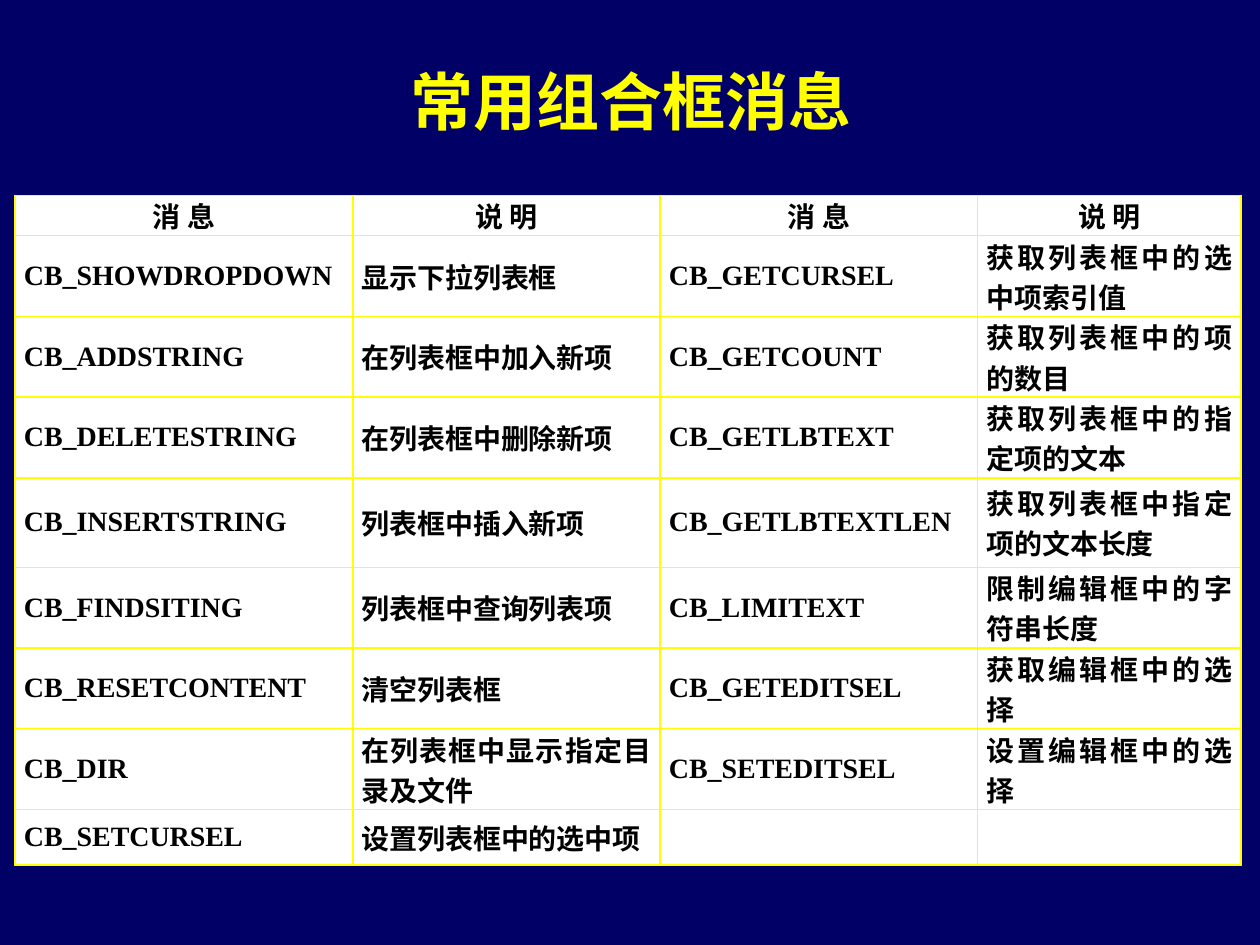
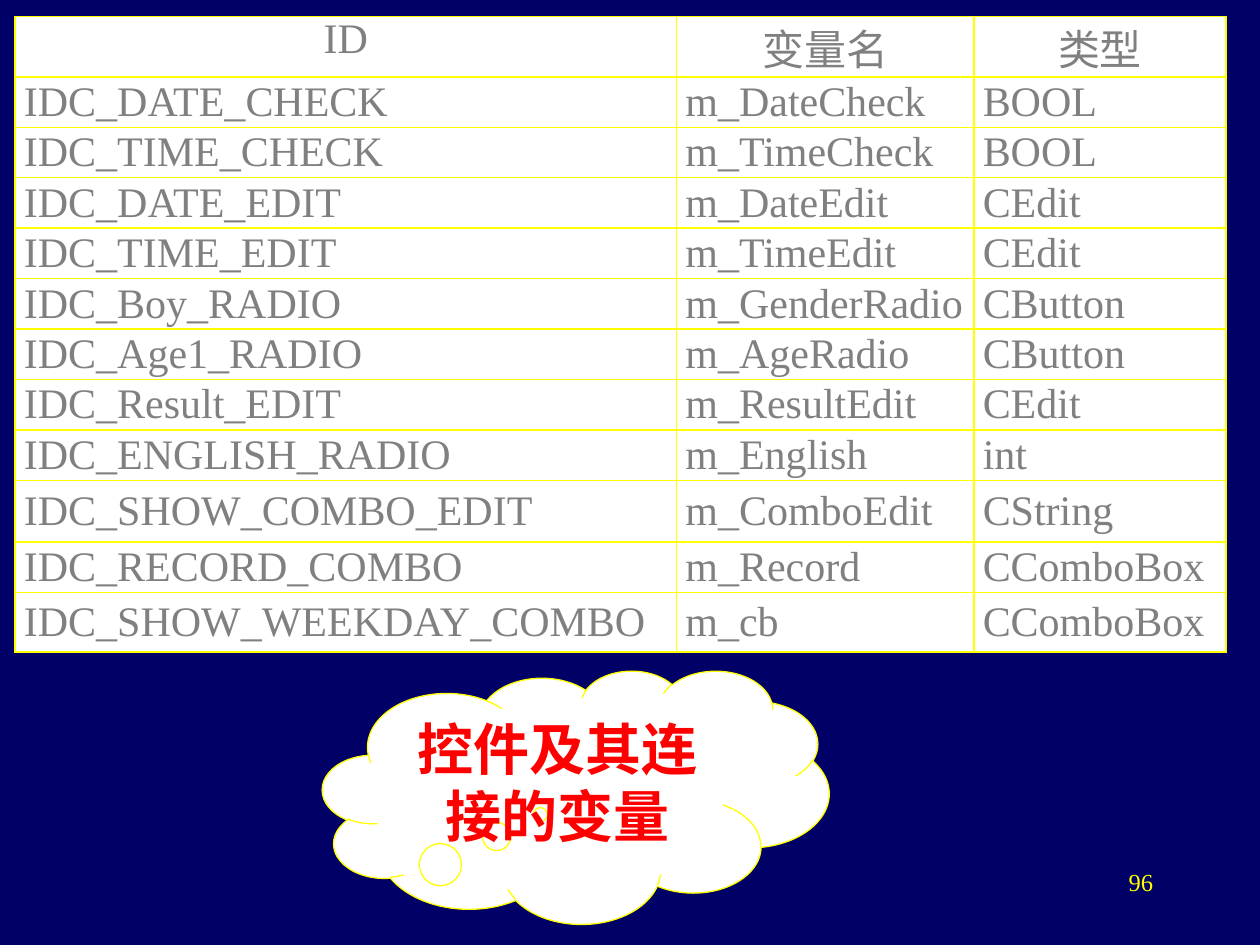
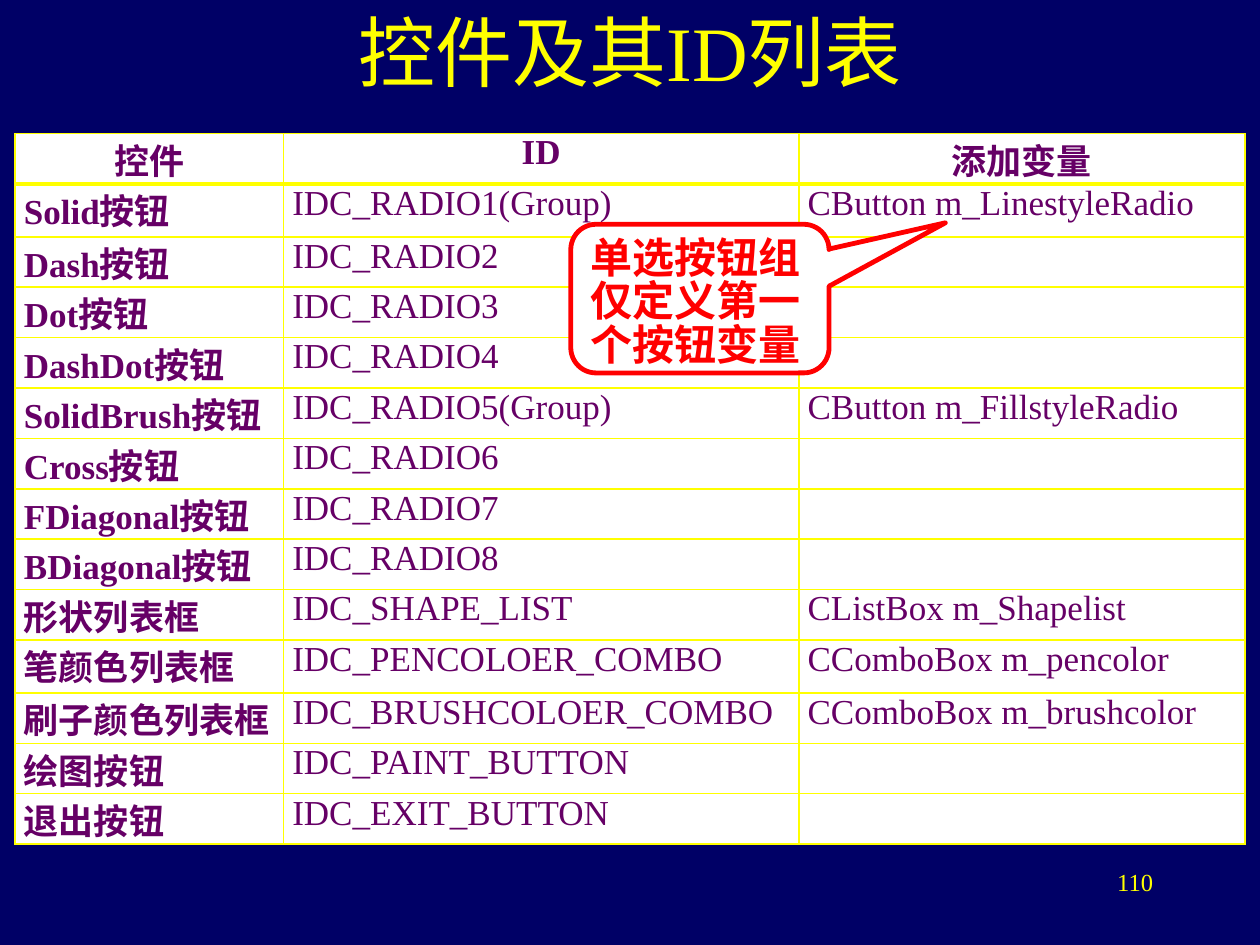
from lxml import etree
from pptx import Presentation
from pptx.dml.color import RGBColor
from pptx.enum.lang import MSO_LANGUAGE_ID
from pptx.enum.shapes import MSO_SHAPE
from pptx.enum.text import MSO_ANCHOR, MSO_AUTO_SIZE, PP_ALIGN
from pptx.oxml.ns import qn
from pptx.util import Inches, Pt

CENTER, JUSTIFY = PP_ALIGN.CENTER, PP_ALIGN.JUSTIFY
LEFT, RIGHT = PP_ALIGN.LEFT, PP_ALIGN.RIGHT
TOP, MIDDLE = MSO_ANCHOR.TOP, MSO_ANCHOR.MIDDLE
CHINESE = MSO_LANGUAGE_ID.SIMPLIFIED_CHINESE
CLOUD = MSO_SHAPE.CLOUD_CALLOUT
BALLOON = MSO_SHAPE.ROUNDED_RECTANGULAR_CALLOUT

# Shared look
FONT = "Times New Roman"
NAVY, YELLOW, WHITE = "000066", "FFFF00", "FFFFFF"
BLACK, GREY, PURPLE, RED = "000000", "808080", "660066", "FF0000"
TITLE_ONLY, BLANK = 5, 6
TABLE_LEFT = 0.12

# Content: the first row of each table is its header
COMBO_MESSAGES = [
    ("消 息", "说 明", "消 息", "说 明"),
    ("CB_SHOWDROPDOWN", "显示下拉列表框", "CB_GETCURSEL", "获取列表框中的选中项索引值"),
    ("CB_ADDSTRING", "在列表框中加入新项", "CB_GETCOUNT", "获取列表框中的项的数目"),
    ("CB_DELETESTRING", "在列表框中删除新项", "CB_GETLBTEXT", "获取列表框中的指定项的文本"),
    ("CB_INSERTSTRING", "列表框中插入新项", "CB_GETLBTEXTLEN", "获取列表框中指定项的文本长度"),
    ("CB_FINDSITING", "列表框中查询列表项", "CB_LIMITEXT", "限制编辑框中的字符串长度"),
    ("CB_RESETCONTENT", "清空列表框", "CB_GETEDITSEL", "获取编辑框中的选择"),
    ("CB_DIR", "在列表框中显示指定目录及文件", "CB_SETEDITSEL", "设置编辑框中的选择"),
    ("CB_SETCURSEL", "设置列表框中的选中项", "", ""),
]
CONTROL_VARIABLES = [
    ("ID", "变量名", "类型"),
    ("IDC_DATE_CHECK", "m_DateCheck", "BOOL"),
    ("IDC_TIME_CHECK", "m_TimeCheck", "BOOL"),
    ("IDC_DATE_EDIT", "m_DateEdit", "CEdit"),
    ("IDC_TIME_EDIT", "m_TimeEdit", "CEdit"),
    ("IDC_Boy_RADIO", "m_GenderRadio", "CButton"),
    ("IDC_Age1_RADIO", "m_AgeRadio", "CButton"),
    ("IDC_Result_EDIT", "m_ResultEdit", "CEdit"),
    ("IDC_ENGLISH_RADIO", "m_English", "int"),
    ("IDC_SHOW_COMBO_EDIT", "m_ComboEdit", "CString"),
    ("IDC_RECORD_COMBO", "m_Record", "CComboBox"),
    ("IDC_SHOW_WEEKDAY_COMBO", "m_cb", "CComboBox"),
]
CONTROL_IDS = [
    ("控件", "ID", "添加变量"),
    ("Solid按钮", "IDC_RADIO1(Group)", "CButton m_LinestyleRadio"),
    ("Dash按钮", "IDC_RADIO2", ""),
    ("Dot按钮", "IDC_RADIO3", ""),
    ("DashDot按钮", "IDC_RADIO4", ""),
    ("SolidBrush按钮", "IDC_RADIO5(Group)", "CButton m_FillstyleRadio"),
    ("Cross按钮", "IDC_RADIO6", ""),
    ("FDiagonal按钮", "IDC_RADIO7", ""),
    ("BDiagonal按钮", "IDC_RADIO8", ""),
    ("形状列表框", "IDC_SHAPE_LIST", "CListBox m_Shapelist"),
    ("笔颜色列表框", "IDC_PENCOLOER_COMBO", "CComboBox m_pencolor"),
    ("刷子颜色列表框", "IDC_BRUSHCOLOER_COMBO", "CComboBox m_brushcolor"),
    ("绘图按钮", "IDC_PAINT_BUTTON", ""),
    ("退出按钮", "IDC_EXIT_BUTTON", ""),
]


def rgb(color):
    return RGBColor.from_string(color)


def paint(fill, color):
    fill.solid()
    fill.fore_color.rgb = rgb(color)


def write(tf, text, size, color, bold=False, align=LEFT):
    p = tf.paragraphs[0]
    p.text = text
    p.alignment = align
    font = p.font
    font.name, font.size, font.bold = FONT, Pt(size), bold
    font.color.rgb = rgb(color)
    font.language_id = CHINESE
    return p


def place(sp, box):
    sp.left, sp.top, sp.width, sp.height = map(Inches, box)


def add_title(s, text, box, size, bold=False):
    title = s.shapes.title
    place(title, box)
    tf = title.text_frame
    tf.auto_size, tf.vertical_anchor = MSO_AUTO_SIZE.NONE, MIDDLE
    write(tf, text, size, YELLOW, bold, CENTER)


def add_page_number(s, number):
    tf = s.shapes.add_textbox(*map(Inches, (7.17, 6.83, 2.08, 0.5))).text_frame
    tf.word_wrap = True
    write(tf, number, 14, YELLOW, align=RIGHT)


def add_borders(cell, bottom):
    tc_pr = cell._tc.get_or_add_tcPr()
    for side, width in (("L", 1), ("R", 1), ("T", 1), ("B", bottom)):
        ln = etree.SubElement(tc_pr, qn(f"a:ln{side}"), w=str(Pt(width)))
        fill = etree.SubElement(ln, qn("a:solidFill"))
        etree.SubElement(fill, qn("a:srgbClr"), val=YELLOW)


def add_grid(s, rows, top, widths, heights, size, color, align=LEFT,
             anchor=MIDDLE, header_anchor=TOP, bold_header=False,
             bold_columns=(), header_rule=1):
    frame = s.shapes.add_table(len(rows), len(widths), Inches(TABLE_LEFT), Inches(top),
                               Inches(sum(widths)), Inches(sum(heights)))
    table = frame.table
    table.first_row = table.horz_banding = False
    for column, width in zip(table.columns, widths):
        column.width = Inches(width)
    for i, (texts, height) in enumerate(zip(rows, heights)):
        table.rows[i].height = Inches(height)
        header = i == 0
        for j, text in enumerate(texts):
            cell = table.cell(i, j)
            cell.margin_left = cell.margin_right = Inches(0.07)
            cell.margin_top = cell.margin_bottom = 0
            cell.vertical_anchor = header_anchor if header else anchor
            add_borders(cell, header_rule if header else 1)
            paint(cell.fill, WHITE)
            bold = bold_header if header else j in bold_columns
            write(cell.text_frame, text, size, color, bold, CENTER if header else align)


def add_callout(s, kind, box, adjustments, line, line_width, text, size, align=LEFT):
    sp = s.shapes.add_shape(kind, *map(Inches, box))
    sp.shadow.inherit = False
    for i, value in enumerate(adjustments):
        sp.adjustments[i] = value
    paint(sp.fill, WHITE)
    sp.line.color.rgb, sp.line.width = rgb(line), Pt(line_width)
    tf = sp.text_frame
    tf.word_wrap, tf.vertical_anchor = True, TOP
    return write(tf, text, size, RED, True, align)


def main():
    prs = Presentation()
    prs.slide_width, prs.slide_height = Inches(10), Inches(7.5)
    paint(prs.slide_master.background.fill, NAVY)

    # Combo box messages
    s = prs.slides.add_slide(prs.slide_layouts[TITLE_ONLY])
    add_title(s, "常用组合框消息", (0.76, 0.36, 8.5, 0.88), 36, bold=True)
    add_grid(s, COMBO_MESSAGES, 1.55, (2.68, 2.44, 2.52, 2.09),
             [0.32] + [0.64] * 3 + [0.71] + [0.64] * 3 + [0.44], 16, BLACK, JUSTIFY,
             header_anchor=MIDDLE, bold_header=True, bold_columns=range(4))

    # Controls and their variables
    s = prs.slides.add_slide(prs.slide_layouts[BLANK])
    add_page_number(s, "96")
    add_grid(s, CONTROL_VARIABLES, 0.13, (5.25, 2.36, 2),
             [0.48] + [0.37] * 8 + [0.49, 0.37, 0.47], 24, GREY, JUSTIFY)
    add_callout(s, CLOUD, (2.56, 5.32, 4.02, 2.01), (-0.07, 0.07), YELLOW, 0.75,
                "控件及其连接的变量", 32, CENTER)

    # Controls and their IDs
    s = prs.slides.add_slide(prs.slide_layouts[TITLE_ONLY])
    add_title(s, "控件及其ID列表", (0.75, 0.05, 8.5, 0.71), 44)
    add_page_number(s, "110")
    add_grid(s, CONTROL_IDS, 1.06, (2.13, 4.09, 3.54),
             [0.4, 0.42] + [0.4] * 8 + [0.42] + [0.4] * 3, 20, PURPLE, anchor=TOP,
             bold_header=True, bold_columns=(0,), header_rule=3)
    p = add_callout(s, BALLOON, (4.53, 1.78, 2.05, 1.18), (0.95, -0.51, 0.17), RED, 2.75,
                    "单选按钮组仅定义第一个按钮变量", 24)
    p.line_spacing = Pt(25)

    prs.save("out.pptx")


if __name__ == "__main__":
    main()
